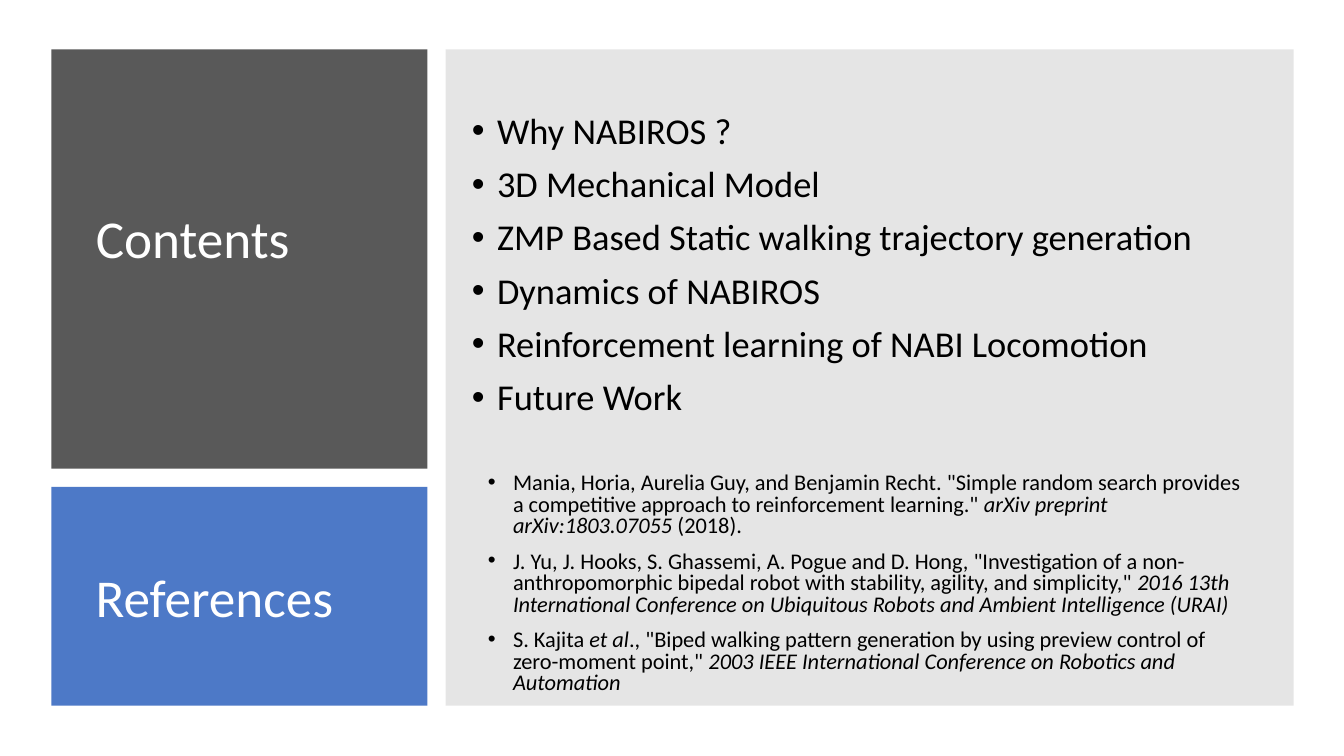
from dataclasses import dataclass

from lxml.etree import SubElement as Sub
from pptx import Presentation as Deck
from pptx.dml.color import RGBColor as Color
from pptx.enum.shapes import MSO_SHAPE as Shape
from pptx.enum.text import MSO_ANCHOR as Anchor, MSO_AUTO_SIZE as Fit, PP_ALIGN as Align
from pptx.oxml.ns import qn
from pptx.util import Inches, Pt


@dataclass(frozen=True)
class Theme:
    font: str = "Calibri"
    dark: str = "595959"
    blue: str = "4472C4"
    gray: str = "808080"
    white: str = "FFFFFF"
    black: str = "000000"
    head: int = 38
    item: int = 26
    cite: int = 16


THEME = Theme()

TOPICS = [
    "Why NABIROS ?",
    "3D Mechanical Model",
    "ZMP Based Static walking trajectory generation",
    "Dynamics of NABIROS",
    "Reinforcement learning of NABI Locomotion",
    "Future Work",
]

CITES = [
    'Mania, Horia, Aurelia Guy, and Benjamin Recht. "Simple random search provides '
    'a competitive approach to reinforcement learning." '
    "*arXiv preprint arXiv:1803.07055* (2018).",
    'J. Yu, J. Hooks, S. Ghassemi, A. Pogue and D. Hong, "Investigation of a '
    'non-anthropomorphic bipedal robot with stability, agility, and simplicity," '
    "*2016 13th International Conference on Ubiquitous Robots and Ambient "
    "Intelligence (URAI)*",
    'S. Kajita *et al*., "Biped walking pattern generation by using preview control '
    'of zero-moment point," '
    "*2003 IEEE International Conference on Robotics and Automation*",
]


def place(shape, left, top, width, height):
    shape.left, shape.top = Inches(left), Inches(top)
    shape.width, shape.height = Inches(width), Inches(height)


def panel(slide, box, color, alpha=100):
    shape = slide.shapes.add_shape(Shape.RECTANGLE, *map(Inches, box))
    shape.shadow.inherit = False
    shape.line.fill.background()
    shape.fill.solid()
    shape.fill.fore_color.rgb = Color.from_string(color)
    if alpha < 100:
        tint = shape.fill._xPr.find(".//" + qn("a:srgbClr"))
        Sub(tint, qn("a:alpha")).set("val", str(alpha * 1000))


def bullet(para):
    props = para._p.get_or_add_pPr()
    props.set("marL", str(Inches(0.25)))
    props.set("indent", str(Inches(-0.25)))
    Sub(props, qn("a:buFont")).set("typeface", "Arial")
    Sub(props, qn("a:buChar")).set("char", "•")


def write(shape, lines, *, size, color, space=1.0, gap=0, dots=False, anchor=Anchor.MIDDLE):
    frame = shape.text_frame
    frame.word_wrap = True
    frame.auto_size = Fit.NONE
    frame.vertical_anchor = anchor
    for row, line in enumerate(lines):
        para = frame.add_paragraph() if row else frame.paragraphs[0]
        if dots:
            bullet(para)
        para.alignment = Align.LEFT
        para.line_spacing = space
        para.space_before = Pt(gap if row else 0)
        for part, text in enumerate(line.split("*")):
            if not text:
                continue
            run = para.add_run()
            run.text = text
            run.font.name = THEME.font
            run.font.size = Pt(size)
            run.font.italic = part % 2 == 1
            run.font.color.rgb = Color.from_string(color)


def label(slide, box, lines, **style):
    write(slide.shapes.add_textbox(*map(Inches, box)), lines, **style)


def main():
    deck = Deck()
    deck.slide_width, deck.slide_height = Inches(13.33), Inches(7.5)
    slide = deck.slides.add_slide(deck.slide_layouts[1])
    title, body = slide.placeholders

    panel(slide, (0.51, 0.49, 3.73, 4.16), THEME.dark)
    panel(slide, (0.51, 4.83, 3.73, 2.17), THEME.blue, alpha=95)
    panel(slide, (4.42, 0.49, 8.41, 6.51), THEME.gray, alpha=20)
    for shape in (title, body):
        slide.shapes._spTree.append(shape._element)

    place(title, 0.85, 0.8, 3.11, 3.19)
    write(title, ["Contents"], size=THEME.head, color=THEME.white, space=0.9)
    place(body, 4.58, 0.8, 7.7, 3.67)
    write(body, TOPICS, size=THEME.item, color=THEME.black, space=0.9, gap=10, dots=True)

    label(slide, (0.85, 5.55, 3.23, 0.74), ["References"],
          size=THEME.head, color=THEME.white, anchor=Anchor.TOP)
    label(slide, (4.74, 4.55, 7.7, 2.49), CITES,
          size=THEME.cite, color=THEME.black, space=0.8, gap=10, dots=True)
    deck.save("out.pptx")


if __name__ == "__main__":
    main()
